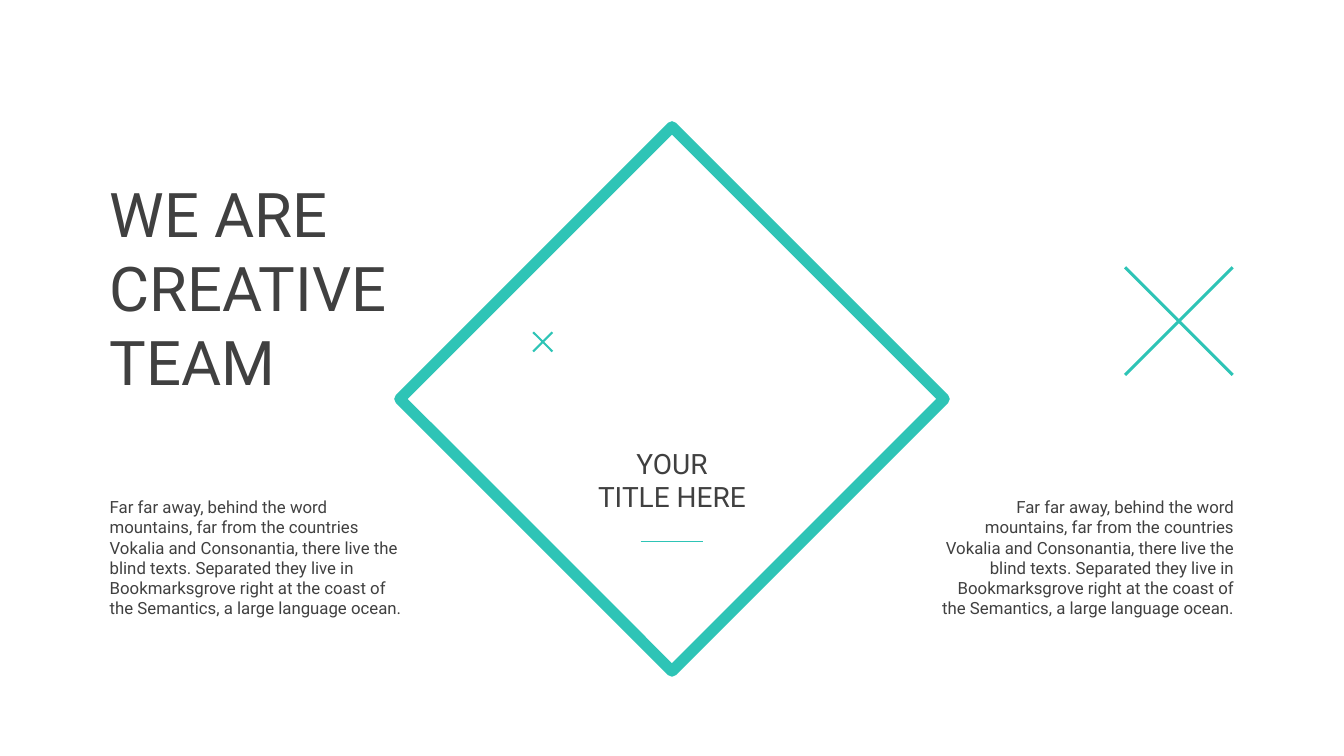
from lxml import etree
from pptx import Presentation, util as u
from pptx.dml.color import RGBColor
from pptx.enum import shapes, text
from pptx.oxml.ns import qn

TEAL = RGBColor(0x2E, 0xC4, 0xB6)
CHARCOAL = RGBColor(0x40, 0x40, 0x40)
LEFT, CENTER, RIGHT = text.PP_ALIGN.LEFT, text.PP_ALIGN.CENTER, text.PP_ALIGN.RIGHT
STORY = ("Far far away, behind the word mountains, far from the countries Vokalia and "
         "Consonantia, there live the blind texts. Separated they live in Bookmarksgrove "
         "right at the coast of the Semantics, a large language ocean.")


def add_copy(slide, box, lines, size, align=LEFT, wrap=False):
    """Place lines of text in the box, one paragraph each."""
    frame = slide.shapes.add_textbox(*map(u.Pt, box)).text_frame
    frame.word_wrap = wrap
    frame.auto_size = text.MSO_AUTO_SIZE.SHAPE_TO_FIT_TEXT
    frame.text = "\n".join(lines)
    font_format = {"name": "Roboto", "size": u.Pt(size)}
    for line in frame.paragraphs:
        line.alignment = align
        for run in line.runs:
            for key, value in font_format.items():
                setattr(run.font, key, value)
            run.font.color.rgb = CHARCOAL


def add_cross(slide, box, arm):
    """Fill the box with a thin plus turned into a cross."""
    cross = slide.shapes.add_shape(shapes.MSO_SHAPE.CROSS, *map(u.Pt, box))
    cross.adjustments[0] = arm
    cross.rotation = 45
    cross.shadow.inherit = False
    cross.fill.solid()
    cross.fill.fore_color.rgb = TEAL
    cross.line.fill.background()


def add_diamond(slide, box):
    """Draw the diamond from its unrotated square, with its title, rule and cross."""
    left, top, side, _ = box
    middle = left + side / 2
    diamond = slide.shapes.add_shape(shapes.MSO_SHAPE.RECTANGLE, *map(u.Pt, box))
    diamond.rotation = 45
    diamond.shadow.inherit = False
    diamond.fill.background()
    diamond.line.color.rgb = TEAL
    diamond.line.width = u.Pt(8)

    title_width, rule_width = 132, 44.6
    add_copy(slide, (middle - title_width / 2, top + 167.8, title_width, 55.4),
             ["YOUR", "TITLE HERE"], 20, CENTER)
    rule_y = top + 239
    rule = slide.shapes.add_connector(
        shapes.MSO_CONNECTOR.STRAIGHT, u.Pt(middle - rule_width / 2), u.Pt(rule_y),
        u.Pt(middle + rule_width / 2), u.Pt(rule_y))
    rule.line.color.rgb = TEAL
    rule.line.width = u.Pt(0.5)
    etree.SubElement(rule.element.spPr, qn("a:effectLst"))
    add_cross(slide, (left + 35.5, top + 87, 19.4, 19.4), 0.463)


def add_left_column(slide, box):
    """Set the headline above the story, aligned left."""
    left, top, width, _ = box
    add_copy(slide, (left, top, 233.3, 167), ["WE ARE", "CREATIVE", "TEAM"], 44)
    add_copy(slide, (left, top + 229, width, 94.3), [STORY], 12, wrap=True)


def add_right_column(slide, box):
    """Set the large cross above the story, aligned right."""
    left, top, width, _ = box
    add_cross(slide, (left + 124.5, top + 52.6, 108.7, 108.7), 0.49)
    add_copy(slide, (left, top + 229, width, 94.3), [STORY], 12, RIGHT, True)


def main():
    """Build the team slide and save it."""
    deck = Presentation()
    deck.slide_width, deck.slide_height = u.Pt(960), u.Pt(540)
    slide = deck.slides.add_slide(deck.slide_layouts[6])
    column_top, column_width, column_height = 122.4, 225.4, 323.3
    add_left_column(slide, (71.3, column_top, column_width, column_height))
    add_diamond(slide, (342.5, 147.5, 275, 275))
    add_right_column(slide, (663.2, column_top, column_width, column_height))
    deck.save("out.pptx")


if __name__ == "__main__":
    main()
